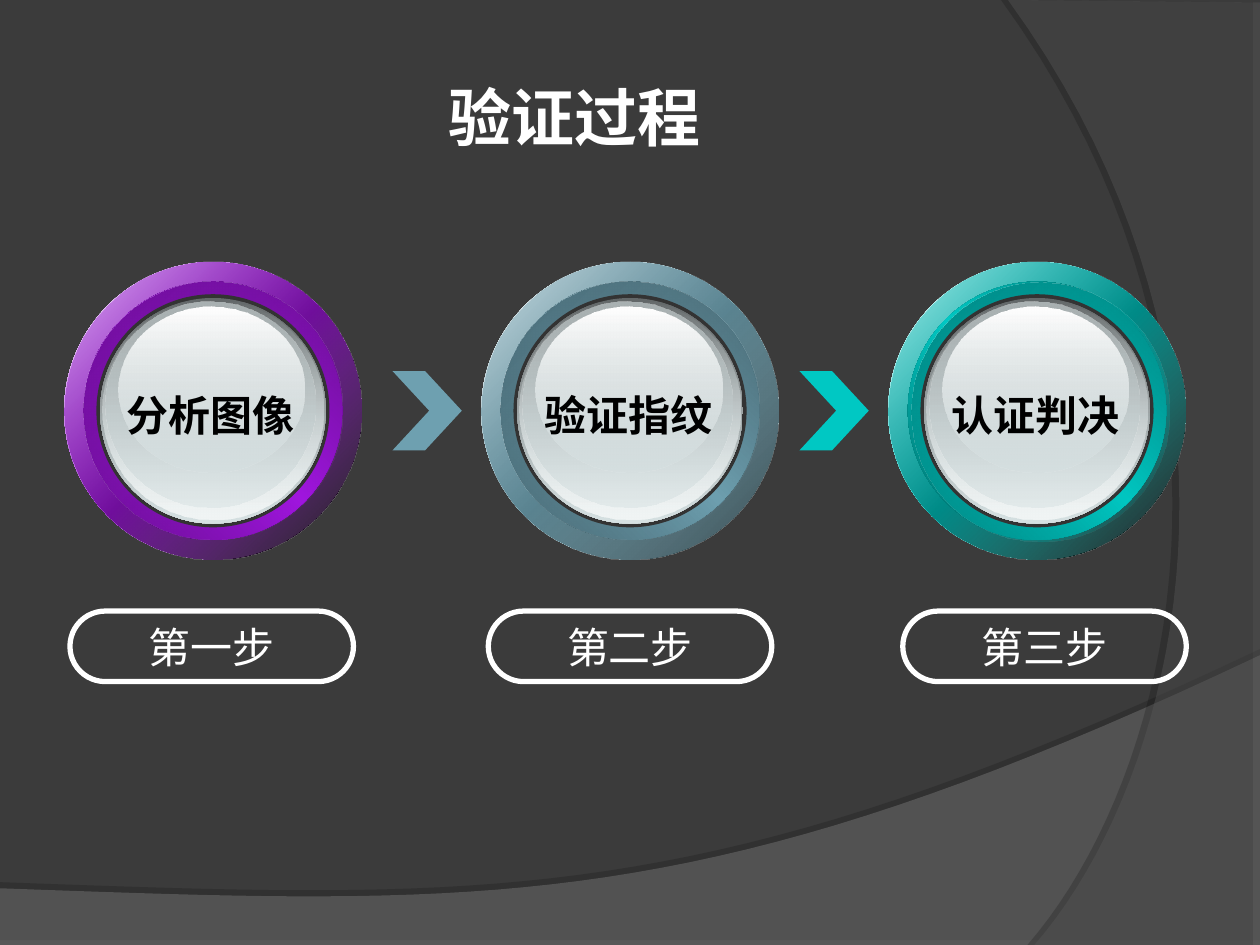
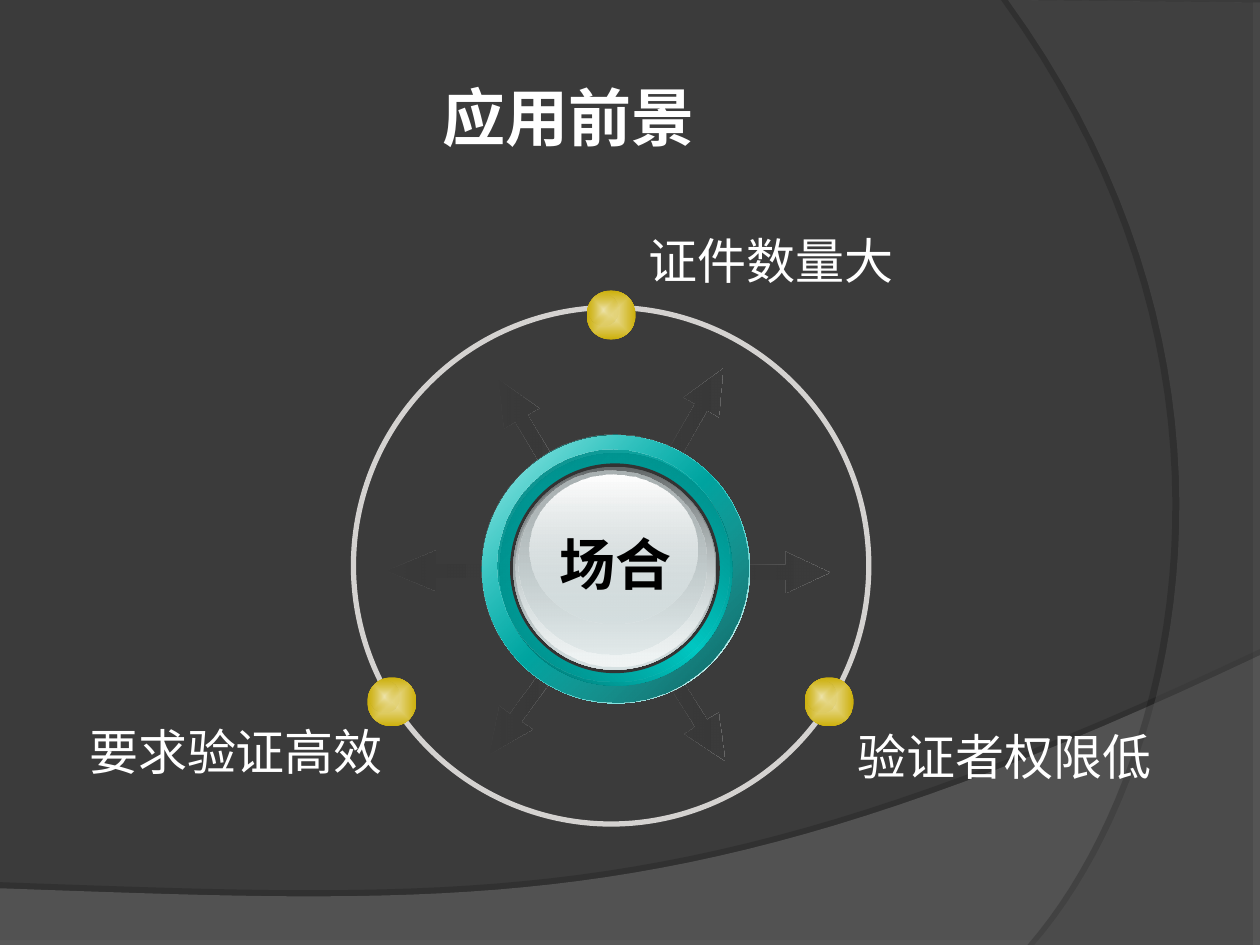
from lxml import etree
from pptx import Presentation
from pptx.dml.color import RGBColor
from pptx.enum.shapes import MSO_SHAPE
from pptx.enum.text import MSO_ANCHOR, PP_ALIGN
from pptx.oxml import parse_xml
from pptx.oxml.ns import nsdecls, qn
from pptx.util import Inches, Pt

OVAL, PILL = MSO_SHAPE.OVAL, MSO_SHAPE.ROUNDED_RECTANGLE
CHEVRON, ARROW = MSO_SHAPE.CHEVRON, MSO_SHAPE.RIGHT_ARROW
MIDDLE, TOP = MSO_ANCHOR.MIDDLE, MSO_ANCHOR.TOP
LEFT, CENTER = PP_ALIGN.LEFT, PP_ALIGN.CENTER

BACK = RGBColor(0x3B, 0x3B, 0x3B)
WAVE = RGBColor(0x7C, 0x7C, 0x7C)
SIDE = RGBColor(0x59, 0x59, 0x59)
WHITE = RGBColor(0xFF, 0xFF, 0xFF)
BLACK = RGBColor(0, 0, 0)
WELL = RGBColor(0x33, 0x33, 0x33)
ORBIT = RGBColor(0xD4, 0xD2, 0xD0)
DUSK = RGBColor(0x35, 0x35, 0x35)
PURPLE = RGBColor(0xA1, 0x16, 0xE0)
BLUE = RGBColor(0x6E, 0xA0, 0xB0)
TEAL = RGBColor(0x00, 0xC8, 0xC3)
GOLD = RGBColor(0xCC, 0xAF, 0x0A)
CREAM = RGBColor(0xEE, 0xE4, 0xAC)
GLASS = RGBColor(0xD6, 0xE1, 0xE2)
SLATE = RGBColor(0x63, 0x68, 0x69)
MIST = RGBColor(0xAA, 0xB2, 0xB3)
FROST = RGBColor(0xF1, 0xF5, 0xF5)

GLOSS = [
    (0, 0, 1.79, 1.79, (SLATE, 100), (GLASS, 100)),
    (0, -0.01, 1.75, 1.75, (GLASS, 0), (FROST, 100)),
    (-0.02, -0.05, 1.66, 1.63, (MIST, 100), (GLASS, 48)),
    (-0.01, -0.17, 1.48, 1.32, (WHITE, 100), (GLASS, 38)),
]
STEPS = [
    (1.69, 1.68, "分析图像", "第一步", PURPLE, (BLACK, 90), (0, 0)),
    (5.0, 5.0, "验证指纹", "第二步", BLUE, None, (0, 0)),
    (8.23, 8.29, "认证判决", "第三步", TEAL, (BLACK, 90), (0.03, 0.01)),
]
ARROWS = [
    (5.52, 3.3, 0.87, 299.6),
    (5.52, 5.67, 0.87, 57.8),
    (4.18, 3.39, 0.87, 239.5),
    (4.14, 5.63, 0.87, 125.6),
    (6.15, 4.54, 0.87, 0),
    (3.54, 4.53, 0.94, 180),
]
KNOBS = [(4.85, 2.5), (6.58, 5.57), (3.11, 5.57)]
NOTES = [
    (5.05, 1.78, 2.14, "证件数量大"),
    (6.71, 5.72, 2.53, "验证者权限低"),
    (0.61, 5.68, 2.53, "要求验证高效"),
]


def shade(tone, part):
    """Return the tone darkened to the given part."""
    return RGBColor(*(round(value * part) for value in tone))


def curve(start, first, second, end, count=40):
    """Return points along a cubic curve, without its start."""
    points = []
    for step in range(1, count + 1):
        t = step / count
        u = 1 - t
        points.append(tuple(
            u**3 * a + 3 * u * u * t * b + 3 * u * t * t * c + t**3 * d
            for a, b, c, d in zip(start, first, second, end)))
    return points


class Deck:
    """Holds the shared style and the current slide."""

    def __init__(self):
        """Open a deck with a dark background."""
        self.file = Presentation()
        self.file.slide_width = Inches(10)
        self.file.slide_height = Inches(7.5)
        fill = self.file.slide_master.background.fill
        fill.solid()
        fill.fore_color.rgb = BACK

    def page(self, title, left, indent):
        """Start a slide with its bands and title."""
        self.slide = self.file.slides.add_slide(self.file.slide_layouts[6])
        wave = [(0, 7.05), (0, 7.51), (10, 7.51), (10, 5.2)]
        wave += curve((10, 5.2), (5.59, 7.29), (3.91, 7.19), (0, 7.05))
        self.band(wave, WAVE, 45, 35, 3.5, 270)
        side = [(10, 0.02), (10, 7.5), (8.21, 7.5)]
        side += curve((8.21, 7.5), (9.35, 6.19), (10.18, 3), (8, 0))
        self.band(side, SIDE, 40, 45, 4, 180)
        box = self.text(left, 0.3, 8.17, 1.25, title, 36, "Roboto", WHITE, True)
        frame = box.text_frame
        frame.word_wrap = True
        frame.vertical_anchor = MIDDLE
        frame.margin_left = frame.margin_right = Inches(0.05)
        props = frame.paragraphs[0]._p.get_or_add_pPr()
        props.set("marL", str(Inches(indent)))
        props.set("indent", "0")

    def band(self, points, color, alpha, dark, gap, angle):
        """Draw a translucent outline with a hard shadow."""
        spots = [(Inches(x), Inches(y)) for x, y in points]
        pen = self.slide.shapes.build_freeform(*spots[0])
        pen.add_line_segments(spots[1:], close=True)
        shape = pen.convert_to_shape()
        self.plain(shape, color)
        props = shape._element.spPr
        tint = props.find(qn("a:solidFill")).find(qn("a:srgbClr"))
        etree.SubElement(tint, qn("a:alpha")).set("val", str(alpha * 1000))
        props.find(qn("a:effectLst")).append(parse_xml(
            f'<a:outerShdw {nsdecls("a")} blurRad="0" dist="{Pt(gap)}" '
            f'dir="{angle * 60000}" algn="ctr" rotWithShape="0">'
            f'<a:srgbClr val="{BLACK}"><a:alpha val="{dark * 1000}"/>'
            '</a:srgbClr></a:outerShdw>'))

    def plain(self, shape, fill=None, line=None):
        """Give a shape a flat fill and line, and no shadow."""
        shape.shadow.inherit = False
        if fill is None:
            shape.fill.background()
        else:
            shape.fill.solid()
            shape.fill.fore_color.rgb = fill
        if line is None:
            shape.line.fill.background()
        else:
            shape.line.color.rgb = line
            shape.line.width = Pt(3)

    def shape(self, kind, x, y, width, height, fill=None, line=None):
        """Add a preset shape centred on a point."""
        shape = self.slide.shapes.add_shape(
            kind, Inches(x - width / 2), Inches(y - height / 2),
            Inches(width), Inches(height))
        self.plain(shape, fill, line)
        return shape

    def blend(self, shape, stops, angle=None):
        """Fill a shape with evenly spaced colour and opacity stops."""
        last = len(stops) - 1
        marks = "".join(
            f'<a:gs pos="{100000 * spot // last}"><a:srgbClr val="{color}">'
            f'<a:alpha val="{alpha * 1000}"/></a:srgbClr></a:gs>'
            for spot, (color, alpha) in enumerate(stops))
        if angle is None:
            way = ('<a:path path="rect"><a:fillToRect l="50000" t="50000" '
                   'r="50000" b="50000"/></a:path>')
        else:
            way = f'<a:lin ang="{round(angle * 60000)}" scaled="1"/>'
        props = shape._element.spPr
        props.replace(props.find(qn("a:solidFill")), parse_xml(
            f'<a:gradFill {nsdecls("a")} rotWithShape="1">'
            f'<a:gsLst>{marks}</a:gsLst>{way}</a:gradFill>'))

    def disc(self, x, y, width, height, stops, angle=None):
        """Add an ellipse with a gradient."""
        self.blend(self.shape(OVAL, x, y, width, height, BLACK), stops, angle)

    def orb(self, x, y, tone, end=None, slip=(0, 0), scale=1, rim=0):
        """Draw a coloured ring around a glass button."""
        ring, core, well = 2.36 * scale, 2.05 * scale, 1.85 * scale
        end = end or (shade(tone, 0.46), 100)
        deep = (shade(tone, 0.54), 100)
        full = (tone, 100)
        self.disc(x + rim, y + rim, ring, ring,
                  [(WHITE, 100), full, (WHITE, 100)], 45)
        self.disc(x, y, ring, ring, [(tone, 32), end], 45)
        self.disc(x + rim, y + rim, core, core, [deep, full, deep], 315)
        self.disc(x + slip[0], y + slip[1], core, core,
                  [(shade(tone, 0.64), 100), (tone, 0)], 45)
        self.shape(OVAL, x, y, well, well, WELL)
        for dx, dy, width, height, *stops in GLOSS:
            self.disc(x + dx * scale, y + dy * scale,
                      width * scale, height * scale, stops, 90)

    def label(self, shape, text, size, font, color, bold, align, anchor):
        """Set and format the text of a shape."""
        frame = shape.text_frame
        frame.text = text
        frame.word_wrap = False
        frame.vertical_anchor = anchor
        line = frame.paragraphs[0]
        line.alignment = align
        style = line.runs[0].font
        style.size, style.name, style.bold = Pt(size), font, bold
        style.color.rgb = color

    def text(self, left, top, width, height, text, size,
             font="Arial", color=WHITE, bold=False, align=LEFT):
        """Add a text box."""
        box = self.slide.shapes.add_textbox(
            Inches(left), Inches(top), Inches(width), Inches(height))
        self.label(box, text, size, font, color, bold, align, TOP)
        return box

    def pill(self, x, y, text):
        """Add an outlined label with round ends."""
        shape = self.shape(PILL, x, y, 2.25, 0.56, line=WHITE)
        shape.adjustments[0] = 0.5
        self.label(shape, text, 24, "DejaVu Sans", WHITE, False, CENTER, MIDDLE)

    def chevron(self, x, y, color):
        """Add a step marker."""
        self.shape(CHEVRON, x, y, 0.55, 0.63, color).adjustments[0] = 0.53

    def arrow(self, x, y, width, turn):
        """Add a faint arrow turned outwards."""
        shape = self.shape(ARROW, x, y, width, 0.32, BACK)
        shape.adjustments[0] = 0.35
        shape.adjustments[1] = 1.11 if width < 0.9 else 1.21
        shape.rotation = turn
        self.blend(shape, [(DUSK, 0), (BACK, 100)], -turn % 360)

    def knob(self, x, y):
        """Add a gold bead."""
        self.disc(x, y, 0.39, 0.39, [(CREAM, 100), (GOLD, 100)])
        self.disc(x - 0.06, y - 0.04, 0.24, 0.25, [(CREAM, 100), (GOLD, 0)])


def process(deck):
    """Build the slide of the three steps."""
    deck.page("验证过程", 0.61, 2.9)
    deck.chevron(3.39, 3.26, BLUE)
    deck.chevron(6.62, 3.26, TEAL)
    for x, base, name, label, tone, end, slip in STEPS:
        deck.orb(x, 3.26, tone, end, slip)
        deck.pill(base, 5.13, label)
        deck.text(x - 0.78, 3.04, 1.53, 0.5, name, 24,
                  color=BLACK, bold=True, align=CENTER)


def outlook(deck):
    """Build the slide of the uses around a hub."""
    deck.page("应用前景", 0.46, 3.0)
    for arrow in ARROWS:
        deck.arrow(*arrow)
    deck.shape(OVAL, 4.85, 4.49, 4.09, 4.1, line=ORBIT)
    for knob in KNOBS:
        deck.knob(*knob)
    deck.orb(4.88, 4.51, TEAL, slip=(-0.01, -0.02), scale=0.9, rim=0.01)
    deck.text(4.34, 4.15, 1.09, 0.64, "场合", 32,
              color=BLACK, bold=True, align=CENTER)
    for left, top, width, note in NOTES:
        deck.text(left, top, width, 0.57, note, 28)


def main():
    """Build and save the deck."""
    deck = Deck()
    process(deck)
    outlook(deck)
    deck.file.save("out.pptx")


if __name__ == "__main__":
    main()
